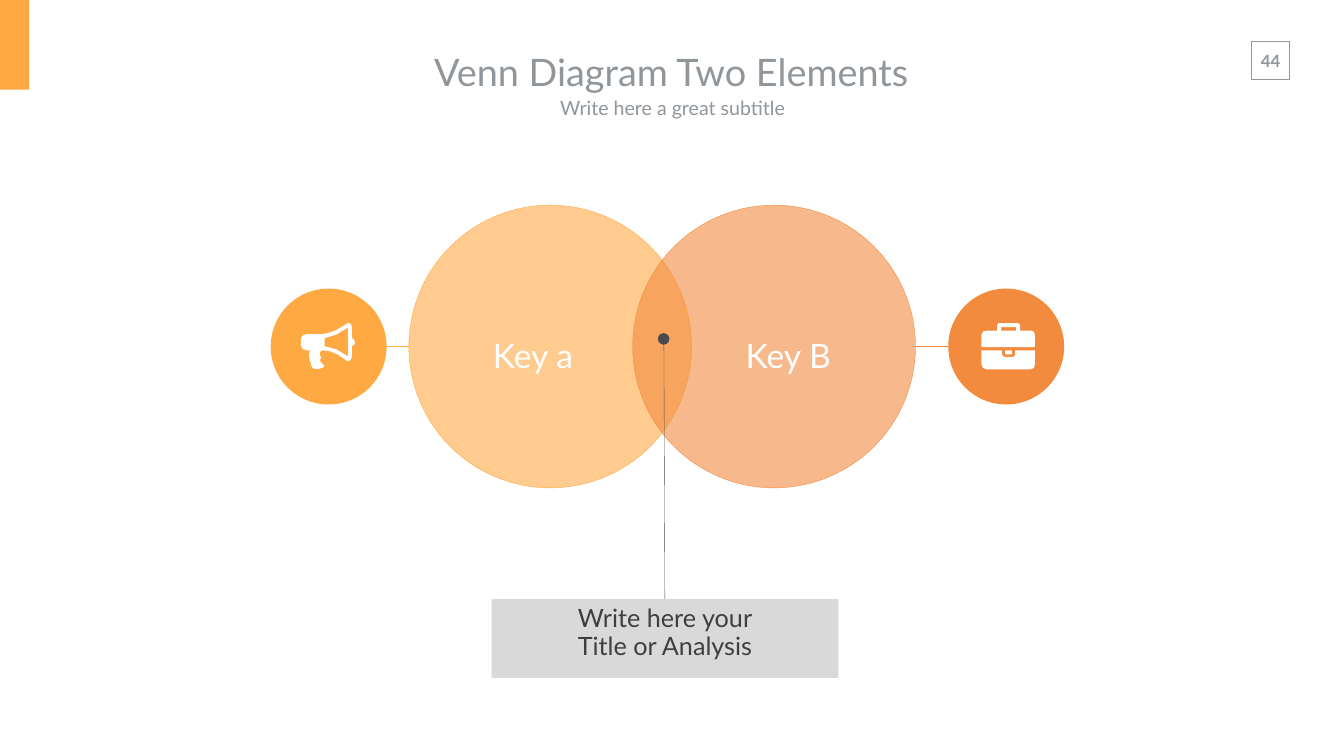
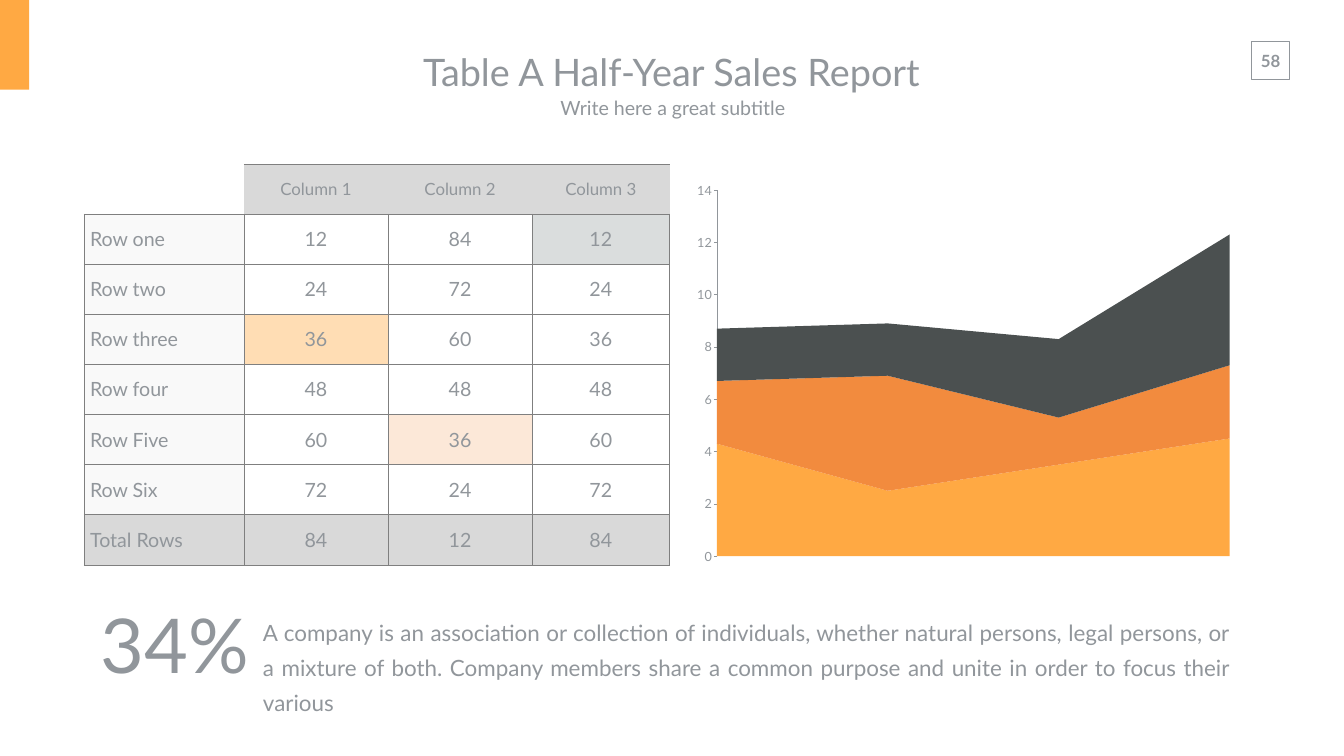
import pptx
import pptx.chart.data
import pptx.dml.color
import pptx.enum.chart
import pptx.enum.shapes
import pptx.enum.text
import pptx.oxml.ns
import pptx.util
import lxml.etree

Cm = pptx.util.Cm
Pt = pptx.util.Pt
RGBColor = pptx.dml.color.RGBColor
SHAPE = pptx.enum.shapes.MSO_SHAPE
ALIGN = pptx.enum.text.PP_ALIGN
ANCHOR = pptx.enum.text.MSO_ANCHOR
qn = pptx.oxml.ns.qn

GREY = RGBColor(0x91, 0x96, 0x9B)
AMBER = RGBColor(0xFF, 0xA9, 0x43)
ORANGE = RGBColor(0xF2, 0x8B, 0x3E)
SLATE = RGBColor(0x4B, 0x50, 0x50)
DARK = RGBColor(0x47, 0x4B, 0x4F)
INK = RGBColor(0x3E, 0x3F, 0x41)
PALE = RGBColor(0xD9, 0xD9, 0xD9)
RULE = RGBColor(0x7F, 0x7F, 0x7F)
MIST = RGBColor(0xDA, 0xDD, 0xDD)
PEACH = RGBColor(0xFF, 0xDD, 0xB4)
BLUSH = RGBColor(0xFC, 0xE8, 0xD8)
WHITE = RGBColor(0xFF, 0xFF, 0xFF)

FONT = "Lato"
WIDE = (0.69, 0.33)
GRID = 107

HORN = [
    [(107, 38), (106, 43), (101, 46), (101, 68), (98, 74), (93, 76), (83, 69),
     (72, 62), (58, 56), (44, 54), (39, 56), (37, 61), (40, 69), (38, 73),
     (39, 77), (47, 85), (43, 89), (35, 91), (27, 91), (22, 88), (17, 71),
     (16, 62), (18, 54), (11, 54), (3, 51), (0, 43), (0, 32), (3, 25),
     (11, 22), (40, 22), (54, 20), (70, 14), (82, 7), (93, 0), (98, 1),
     (101, 6), (101, 30), (105, 32)],
    [(93, 9), (70, 23), (47, 30), (47, 46), (70, 52), (93, 66)],
]
BAG = [
    [(106, 48), (0, 48), (0, 24), (3, 17), (11, 15), (31, 15), (31, 5),
     (33, 1), (38, 0), (70, 0), (75, 1), (77, 5), (77, 15), (97, 15),
     (104, 17), (106, 24)],
    [(106, 82), (104, 89), (97, 92), (11, 92), (3, 89), (0, 82), (0, 54),
     (41, 54), (41, 63), (44, 67), (64, 67), (67, 63), (67, 54), (106, 54)],
    [(69, 15), (69, 8), (39, 8), (39, 15)],
    [(47, 54), (61, 54), (61, 62), (47, 62)],
]
ROWS = [
    ("", "Column 1", "Column 2", "Column 3"),
    ("Row one", 12, 84, 12),
    ("Row two", 24, 72, 24),
    ("Row three", 36, 60, 36),
    ("Row four", 48, 48, 48),
    ("Row Five", 60, 36, 60),
    ("Row Six", 72, 24, 72),
    ("Total Rows", 84, 12, 84),
]
MARKS = {(1, 3): MIST, (3, 1): PEACH, (5, 2): BLUSH}
SERIES = [
    ("Series 1", (4.3, 2.5, 3.5, 4.5), AMBER),
    ("Series 2", (2.4, 4.4, 1.8, 2.8), ORANGE),
    ("Series 3", (2, 2, 3, 5), SLATE),
]


def write(frame, text, size=28, color=GREY, align=ALIGN.CENTER, bold=False,
          anchor=ANCHOR.TOP, inset=(0.25, 0.13), space=None, wrap=True):
    """Fill a text frame with lines in one format."""
    frame.word_wrap = wrap
    frame.auto_size = pptx.enum.text.MSO_AUTO_SIZE.NONE
    frame.vertical_anchor = anchor
    frame.margin_left = frame.margin_right = Cm(inset[0])
    frame.margin_top = frame.margin_bottom = Cm(inset[1])
    for i, line in enumerate(text.split("\n")):
        para = frame.add_paragraph() if i else frame.paragraphs[0]
        para.alignment = align
        if space:
            para.line_spacing = space
        run = para.add_run()
        run.text = line
        font = run.font
        font.name, font.size, font.bold = FONT, Pt(size), bold
        font.color.rgb = color


def label(slide, box, text, **style):
    """Add a text box."""
    write(slide.shapes.add_textbox(*map(Cm, box)).text_frame, text, **style)


def fade(props, alpha):
    """Set the opacity, in percent, of a solid fill."""
    for node in props.findall(qn("a:solidFill") + "/" + qn("a:srgbClr")):
        lxml.etree.SubElement(node, qn("a:alpha")).set("val", str(alpha * 1000))


def add(slide, kind, box, fill=None, line=None, width=0.5, alpha=None):
    """Add a flat preset shape."""
    shape = slide.shapes.add_shape(kind, *map(Cm, box))
    shape.shadow.inherit = False
    if fill is None:
        shape.fill.background()
    else:
        shape.fill.solid()
        shape.fill.fore_color.rgb = fill
    if line is None:
        shape.line.fill.background()
    else:
        shape.line.color.rgb = line
        shape.line.width = Pt(width)
    if alpha:
        fade(shape.element.spPr, alpha)
    return shape


def link(slide, ends, color):
    """Add a thin straight line."""
    kind = pptx.enum.shapes.MSO_CONNECTOR.STRAIGHT
    line = slide.shapes.add_connector(kind, *map(Cm, ends))
    line.line.color.rgb = color
    line.line.width = Pt(0.5)
    lxml.etree.SubElement(line.element.spPr, qn("a:effectLst"))


def icon(slide, x, y, width, loops):
    """Draw white outlines given on a square grid."""
    pen = slide.shapes.build_freeform(*loops[0][0], scale=Cm(width) / GRID)
    for i, loop in enumerate(loops):
        if i:
            pen.move_to(*loop[0])
        pen.add_line_segments(loop[1:], close=True)
    shape = pen.convert_to_shape(Cm(x), Cm(y))
    shape.shadow.inherit = False
    shape.fill.solid()
    shape.fill.fore_color.rgb = WHITE
    shape.line.fill.background()


def head(slide, box, title, page):
    """Place title, subtitle, page number and corner band."""
    x, y, w, h = box
    label(slide, (62.99, 2.29, 2.06, 1.55), page, size=24, bold=True,
          inset=(0.51, 0.25), wrap=False)
    add(slide, SHAPE.RECTANGLE, (63.07, 2.08, 1.91, 1.91), line=GREY, width=1)
    add(slide, SHAPE.RECTANGLE, (0, 0, 1.47, 4.52), AMBER)
    name = slide.shapes.title
    name.left, name.top, name.width, name.height = map(Cm, box)
    write(name.text_frame, title, size=54, anchor=ANCHOR.MIDDLE, inset=WIDE)
    label(slide, (x + w / 2 - 13.05, y + 2.36, 26.24, 1.88),
          "Write here a great subtitle", anchor=ANCHOR.MIDDLE, inset=WIDE)


def venn(slide, box):
    """Draw two overlapping circles with icons and a callout."""
    x, y, w, h = box
    size, disc = 14.25, 5.84
    mid = y + size / 2
    sides = [
        ("Key a", AMBER, 6.96, 8.2, 0, HORN, 1.52, (disc, 6.96)),
        ("Key B", ORANGE, 18.24, 21.06, w - disc, BAG, 1.67,
         (18.24 + size, w - disc)),
    ]
    for text, color, left, *rest in sides:
        add(slide, SHAPE.OVAL, (x + left, y, size, size), color, color, alpha=60)
    note = add(slide, SHAPE.RECTANGLE, (x + 11.13, y + h - 3.96, 17.48, 3.96), PALE)
    write(note.text_frame, "Write here your\nTitle or Analysis", size=36,
          color=INK, space=0.95, inset=(0.25, 0.25))
    link(slide, (x + 19.81, y + 6.45, x + 19.86, y + h - 3.96), DARK)
    add(slide, SHAPE.OVAL, (x + 19.51, y + 6.45, 0.58, 0.58), DARK)
    for text, color, left, key, spot, loops, pad, (start, end) in sides:
        add(slide, SHAPE.OVAL, (x + spot, mid - disc / 2, disc, disc), color)
        link(slide, (x + start, mid, x + end, mid), color)
        label(slide, (x + key, y + 5.59, 10.03, 3), text, size=48,
              color=WHITE, space=1.4)
        icon(slide, x + spot + pad, y + 5.94, 2.72, loops)


def edge(cell, sides):
    """Rule the named sides of a cell and clear the others."""
    props = cell._tc.get_or_add_tcPr()
    for side in "LRTB":
        line = lxml.etree.SubElement(props, qn("a:ln" + side), w=str(Pt(0.5)))
        if side in sides:
            fill = lxml.etree.SubElement(line, qn("a:solidFill"))
            lxml.etree.SubElement(fill, qn("a:srgbClr"), val=str(RULE))
            fade(line, 50)
        else:
            lxml.etree.SubElement(line, qn("a:noFill"))


def table(slide, box):
    """Build the ruled table with marked cells."""
    grid = slide.shapes.add_table(len(ROWS), 4, *map(Cm, box)).table
    grid.first_row = grid.horz_banding = False
    for col, width in zip(grid.columns, (8.05, 7.26, 7.26, 6.93)):
        col.width = Cm(width)
    last = len(ROWS) - 1
    for r, row in enumerate(ROWS):
        grid.rows[r].height = Cm(box[3] / len(ROWS))
        for c, value in enumerate(row):
            cell = grid.cell(r, c)
            edge(cell, "LRTB" if r else "TB" if c else "B")
            side = c == 0 and 0 < r < last
            shade = PALE if side or r == last or r == 0 < c else MARKS.get((r, c))
            if shade is None:
                cell.fill.background()
            else:
                cell.fill.solid()
                cell.fill.fore_color.rgb = shade
            if side:
                fade(cell._tc.tcPr, 15)
            cell.vertical_anchor = ANCHOR.MIDDLE
            cell.margin_left = cell.margin_right = Cm(0.3)
            cell.margin_top = cell.margin_bottom = Cm(0.18)
            if value != "":
                para = cell.text_frame.paragraphs[0]
                para.alignment = ALIGN.CENTER if c else ALIGN.LEFT
                run = para.add_run()
                run.text = str(value)
                run.font.name, run.font.size = FONT, Pt(28 if r else 24)
                run.font.color.rgb = GREY


def chart(slide, box):
    """Build the stacked area chart."""
    data = pptx.chart.data.CategoryChartData()
    data.categories = ["1", "2", "3", "4"]
    for name, values, color in SERIES:
        data.add_series(name, values)
    kind = pptx.enum.chart.XL_CHART_TYPE.AREA_STACKED
    plot = slide.shapes.add_chart(kind, *map(Cm, box), data).chart
    plot.has_legend = plot.has_title = False
    plot.font.name, plot.font.size = FONT, Pt(18)
    plot.font.color.rgb = GREY
    for part, (name, values, color) in zip(plot.plots[0].series, SERIES):
        part.format.fill.solid()
        part.format.fill.fore_color.rgb = color
    plot.category_axis.visible = False
    axis = plot.value_axis
    axis.has_major_gridlines = False
    axis.minimum_scale, axis.maximum_scale, axis.major_unit = 0, 14, 2
    axis.major_tick_mark = pptx.enum.chart.XL_TICK_MARK.OUTSIDE
    axis.format.line.color.rgb = GREY
    axis.format.line.width = Pt(0.5)
    for node in plot.element.iter(qn("c:crossBetween")):
        node.set("val", "midCat")
    area = next(plot.element.iter(qn("c:plotArea")))
    for node in area.findall(qn("c:layout")):
        area.remove(node)
    frame = lxml.etree.Element(qn("c:layout"))
    area.insert(0, frame)
    manual = lxml.etree.SubElement(frame, qn("c:manualLayout"))
    for tag, value in (("layoutTarget", "inner"), ("xMode", "edge"),
                       ("yMode", "edge"), ("x", 0.04), ("y", 0.06),
                       ("w", 0.95), ("h", 0.84)):
        lxml.etree.SubElement(manual, qn("c:" + tag), val=str(value))


def fact(slide, box):
    """Set a large figure beside its paragraph."""
    x, y, w, h = box
    label(slide, (x + 8.17, y + 0.64, w - 8.17, 3.73),
          "A company is an association or collection of individuals, whether "
          "natural persons, legal persons, or a mixture of both. Company members "
          "share a common purpose and unite in order to focus their various",
          size=32, align=ALIGN.JUSTIFY, space=1.3)
    label(slide, (x, y, 8.94, h), "34%", size=108, align=ALIGN.LEFT)


def main():
    """Build and save both slides."""
    deck = pptx.Presentation()
    deck.slide_width, deck.slide_height = Cm(67.72), Cm(38.1)
    plain = deck.slide_layouts[5]
    first = deck.slides.add_slide(plain)
    head(first, (20.7, 2.11, 26.24, 3), "Venn Diagram Two Elements", "44")
    venn(first, (13.64, 10.34, 39.98, 23.82))
    second = deck.slides.add_slide(plain)
    head(second, (14.63, 2.11, 38.4, 3), "Table A Half-Year Sales Report", "58")
    fact(second, (4.83, 30.02, 57.4, 4.88))
    table(second, (4.24, 8.26, 29.5, 20.2))
    chart(second, (35.03, 8.26, 27.2, 21.97))
    deck.save("out.pptx")


if __name__ == "__main__":
    main()
